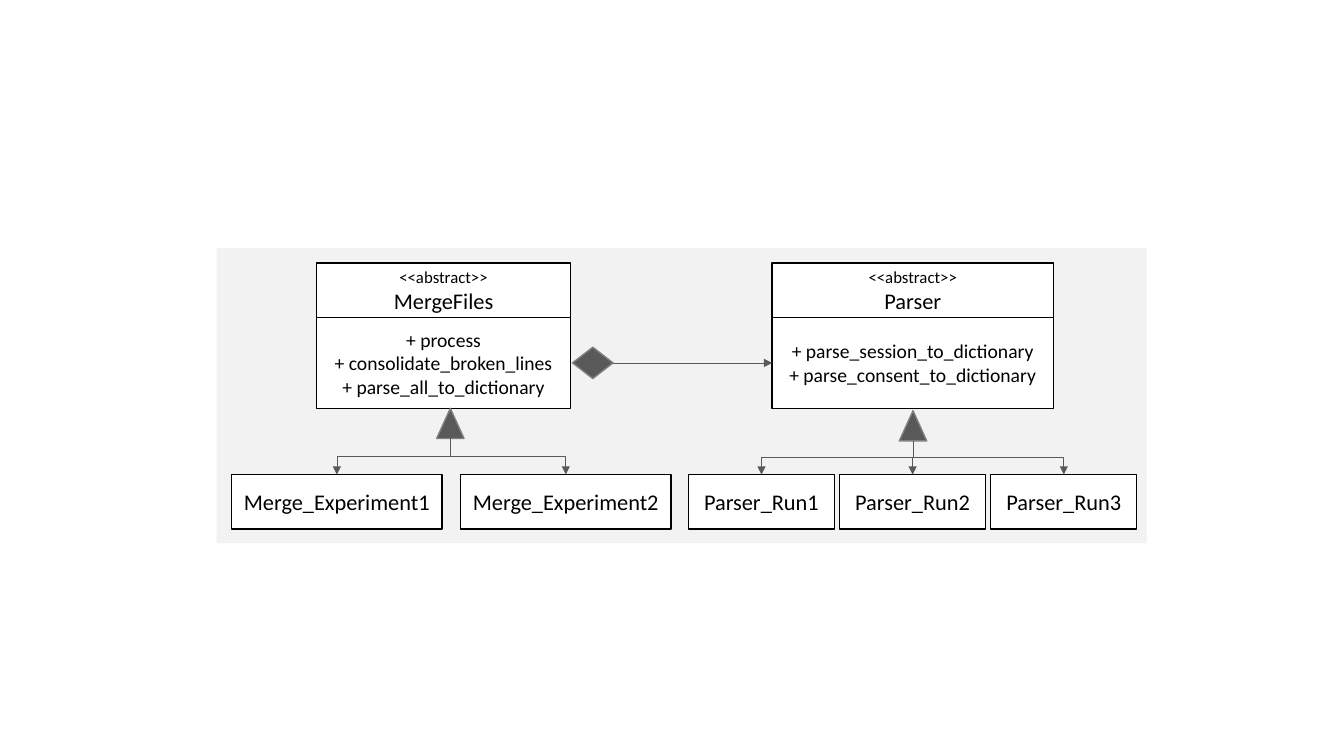
from collections import namedtuple
from lxml import etree
from pptx import Presentation
from pptx import util as u
from pptx.dml import color
from pptx.enum import shapes, text
from pptx.oxml import ns

COLORS = {"panel": "F2F2F2", "box": "FFFFFF", "ink": "000000",
          "marker": "595959", "marker_edge": "808080"}
FONT = "Calibri"
HEADER_H, BODY_H = 1.37, 2.29  # all lengths in cm
CHILD_H, CHILD_DROP = 1.37, 5.33
TRIANGLE_W, TRIANGLE_H = 0.69, 0.76
DIAMOND_W, DIAMOND_H = 1.02, 0.79

Box = namedtuple("Box", "left top width height")


def rgb(name):
    return color.RGBColor.from_string(COLORS[name])


def add_figure(page, kind, box, fill, edge=None):
    figure = page.shapes.add_shape(kind, *map(u.Cm, box))
    figure.shadow.inherit = False
    figure.fill.solid()
    figure.fill.fore_color.rgb = rgb(fill)
    if edge:
        figure.line.color.rgb = rgb(edge)
        figure.line.width = u.Pt(1)
    else:
        figure.line.fill.background()
    return figure


def add_label(page, box, lines):
    """Draw a white box; lines holds (wording, point size) pairs."""
    label = add_figure(page, shapes.MSO_SHAPE.RECTANGLE, box, "box", "ink")
    frame = label.text_frame
    frame.word_wrap = True
    frame.margin_left = frame.margin_right = 0
    frame.vertical_anchor = text.MSO_ANCHOR.MIDDLE
    frame.text = "\n".join(wording for wording, _ in lines)
    for para, (_, size) in zip(frame.paragraphs, lines):
        para.alignment = text.PP_ALIGN.CENTER
        font = para.runs[0].font
        font.name, font.size = FONT, u.Pt(size)
        font.color.rgb = rgb("ink")
    return label


def add_arrow(page, kind, source, source_site, target, target_site):
    arrow = page.shapes.add_connector(kind, 0, 0, 0, 0)
    arrow.begin_connect(source, source_site)
    arrow.end_connect(target, target_site)
    arrow.line.color.rgb = rgb("marker")
    arrow.line.width = u.Pt(0.5)
    etree.SubElement(arrow.line._get_or_add_ln(), ns.qn("a:tailEnd"), type="triangle")
    etree.SubElement(arrow._element.spPr, ns.qn("a:effectLst"))
    return arrow


def add_branch(page, triangle, child):
    """Elbow from the triangle's base down to the child's top edge."""
    arrow = add_arrow(page, shapes.MSO_CONNECTOR.ELBOW, triangle, 3, child, 0)
    start_x = triangle.left + triangle.width // 2
    start_y = triangle.top + triangle.height
    end_x = child.left + child.width // 2
    drop, run = child.top - start_y, abs(end_x - start_x)
    # The elbow lies on its side, so its width is the drop
    arrow.width, arrow.height = drop, run
    arrow.left = (start_x + end_x - drop) // 2
    arrow.top = (start_y + child.top - run) // 2
    frame = arrow._element.spPr.xfrm
    rightward = end_x > start_x
    frame.flipH, frame.flipV = rightward, False
    frame.rot = 270 if rightward else 90


def add_family(page, box, name, methods, triangle_at, children, child_left, child_w, gap):
    """Abstract class with its subclasses; returns the class body."""
    left, top, width, _ = box
    add_label(page, Box(left, top, width, HEADER_H), [("<<abstract>>", 12), (name, 16)])
    body = add_label(page, Box(left, top + HEADER_H, width, BODY_H),
                     [("+ " + method, 14) for method in methods])

    # Inheritance marker
    marker_x, marker_y = triangle_at
    triangle = add_figure(page, shapes.MSO_SHAPE.ISOSCELES_TRIANGLE,
                          Box(left + marker_x - TRIANGLE_W / 2, top + marker_y,
                              TRIANGLE_W, TRIANGLE_H), "marker", "marker_edge")

    # Subclasses in a row
    for index, wording in enumerate(children):
        child = add_label(page, Box(left + child_left + index * (child_w + gap),
                                    top + CHILD_DROP, child_w, CHILD_H), [(wording, 16)])
        add_branch(page, triangle, child)
    return body


def add_diagram(page, box):
    add_figure(page, shapes.MSO_SHAPE.RECTANGLE, box, "panel")
    class_top = box.top + 0.38
    class_h = HEADER_H + BODY_H

    merge_box = Box(box.left + 2.52, class_top, 6.4, class_h)
    add_family(page, merge_box, "MergeFiles",
               ["process", "consolidate_broken_lines", "parse_all_to_dictionary"],
               (3.37, 3.66), ["Merge_Experiment1", "Merge_Experiment2"],
               child_left=-2.14, child_w=5.3, gap=0.47)
    parser_body = add_family(
        page, Box(box.left + 14, class_top, 7.09, class_h), "Parser",
        ["parse_session_to_dictionary", "parse_consent_to_dictionary"],
        (3.55, 3.72), [f"Parser_Run{number}" for number in (1, 2, 3)],
        child_left=-2.11, child_w=3.68, gap=0.13)

    # Composition: MergeFiles owns a Parser
    middle = class_top + HEADER_H + BODY_H / 2
    diamond = add_figure(page, shapes.MSO_SHAPE.DIAMOND,
                         Box(merge_box.left + merge_box.width + 0.05, middle - DIAMOND_H / 2,
                             DIAMOND_W, DIAMOND_H), "marker", "marker_edge")
    add_arrow(page, shapes.MSO_CONNECTOR.STRAIGHT, diamond, 3, parser_body, 1)


deck = Presentation()
deck.slide_width, deck.slide_height = u.Cm(33.87), u.Cm(19.05)
page = deck.slides.add_slide(deck.slide_layouts[6])  # blank layout
add_diagram(page, Box(5.46, 6.25, 23.44, 7.44))
deck.save("out.pptx")
